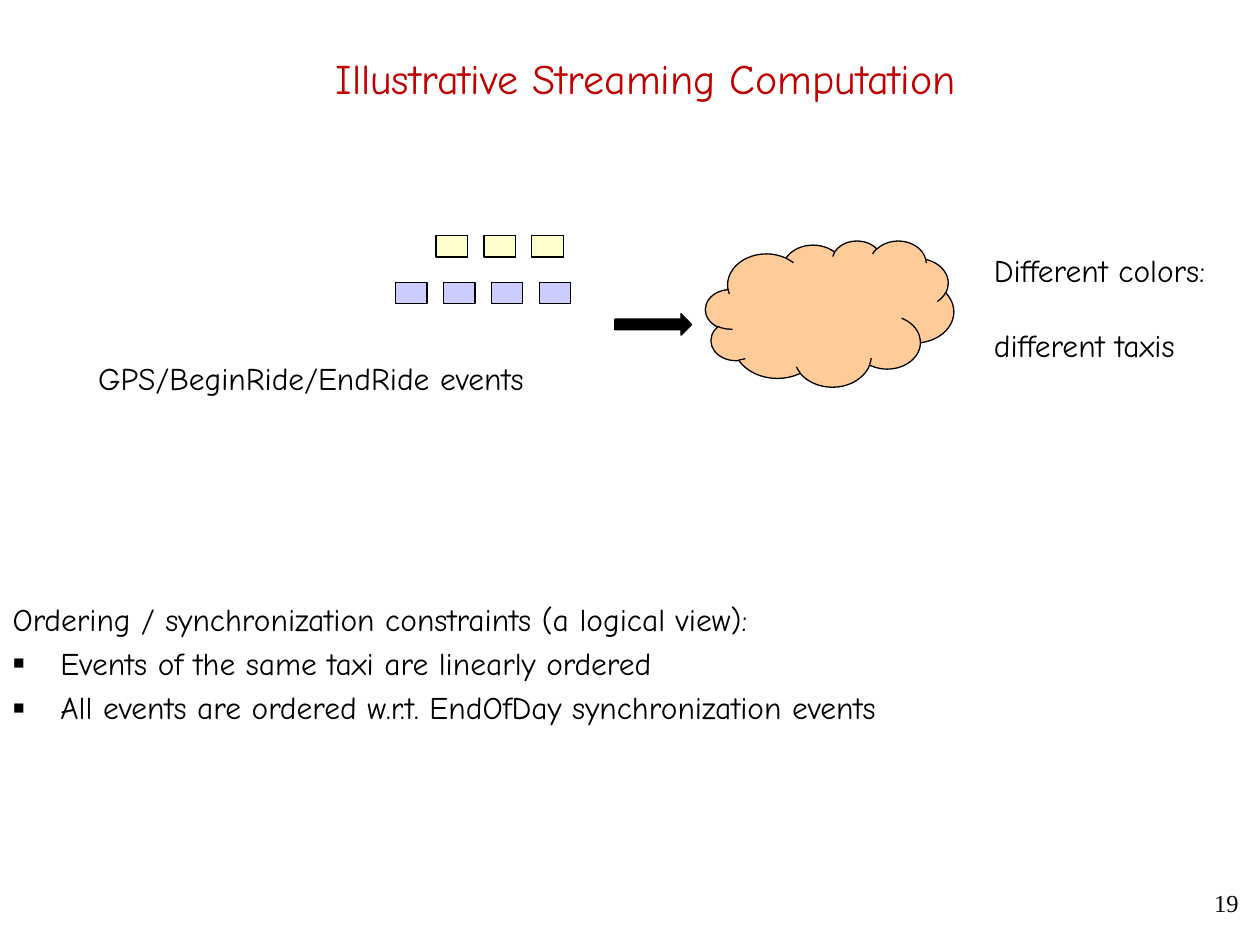
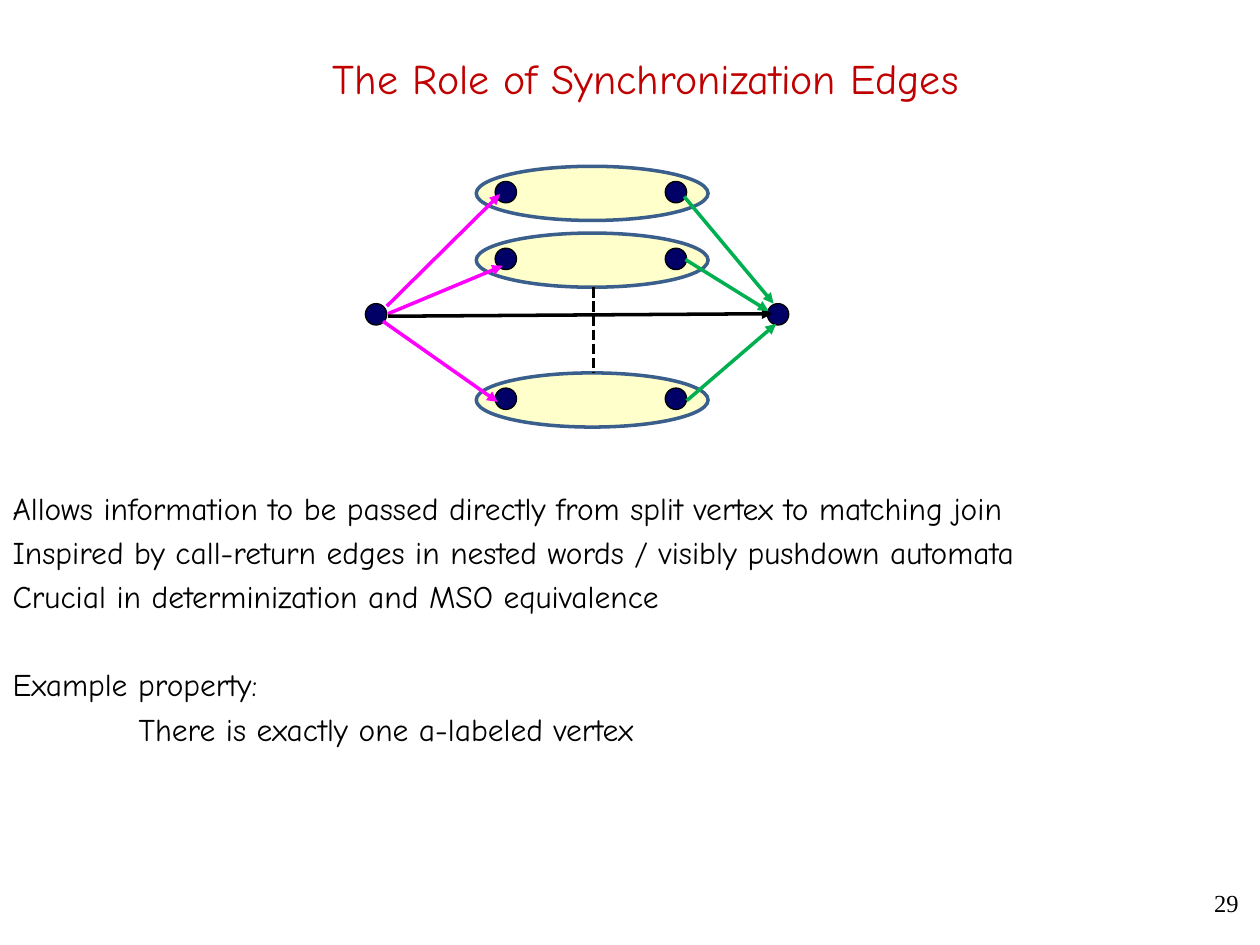
from dataclasses import dataclass

from lxml.etree import SubElement
from pptx import Presentation
from pptx.dml.color import RGBColor
from pptx.enum.dml import MSO_LINE
from pptx.enum.shapes import MSO_CONNECTOR as Link, MSO_SHAPE as Preset
from pptx.enum.text import MSO_ANCHOR as Anchor, MSO_AUTO_SIZE as AutoSize, PP_ALIGN as Align
from pptx.oxml.ns import qn
from pptx.util import Inches, Pt

COLORS = {
    "title": "C00000", "black": "000000", "cloud": "FFCC99",
    "yellow": "FFFFCC", "violet": "CCCCFF", "lane edge": "3A5F8C",
    "vertex": "000066", "split": "FF00FF", "join": "00B050",
}
FONT, NUMBER_FONT = "Comic Neue", "Times New Roman"
LINE_GAP = 3.6    # points between paragraphs of a body
BLANK_LINE = 21.7  # points, height of one line of 18 pt text
VERTEX_SIZE = 0.17


@dataclass
class Line:
    text: str
    before: float = 0  # points
    indent: float = 0  # inches
    bullet: str = ""


@dataclass
class EventRow:
    left: float
    top: float
    count: int
    color: str


@dataclass
class Edge:
    start: tuple[float, float]
    end: tuple[float, float]
    color: str = "black"
    dashed: bool = False


def rgb(name: str) -> RGBColor:
    return RGBColor.from_string(COLORS[name])


def place(shape, left: float, top: float, width: float, height: float) -> None:
    shape.left, shape.top = Inches(left), Inches(top)
    shape.width, shape.height = Inches(width), Inches(height)


def write_text(frame, lines: list[Line], *, size: float = 18, font: str = FONT,
               color: str = "black", align=Align.LEFT, anchor=Anchor.TOP,
               wrap: bool = True) -> None:
    frame.auto_size = AutoSize.NONE
    frame.word_wrap = wrap
    frame.vertical_anchor = anchor
    for index, line in enumerate(lines):
        para = frame.paragraphs[0] if index == 0 else frame.add_paragraph()
        props = para._p.get_or_add_pPr()
        props.set("marL", str(Inches(line.indent)))
        props.set("indent", str(-Inches(line.indent) if line.bullet else 0))
        if line.bullet:
            SubElement(props, qn("a:buFont"), typeface=font)
            SubElement(props, qn("a:buChar"), char=line.bullet)
        else:
            SubElement(props, qn("a:buNone"))
        para.alignment = align
        para.space_before = Pt(line.before)
        span = para.add_run()
        span.text = line.text
        span.font.size, span.font.name = Pt(size), font
        span.font.color.rgb = rgb(color)


def add_text(page, text_lines: list[Line], left: float, top: float, width: float,
             height: float, **text_format) -> None:
    box = page.shapes.add_textbox(Inches(left), Inches(top), Inches(width), Inches(height))
    write_text(box.text_frame, text_lines, **text_format)


def add_figure(shapes, preset, left: float, top: float, width: float, height: float,
               fill: str, *, line: str = "black", weight: float = 0.75) -> None:
    figure = shapes.add_shape(preset, Inches(left), Inches(top), Inches(width), Inches(height))
    figure.shadow.inherit = False
    figure.fill.solid()
    figure.fill.fore_color.rgb = rgb(fill)
    figure.line.color.rgb = rgb(line)
    figure.line.width = Pt(weight)


def add_vertex(shapes, left: float, top: float) -> None:
    add_figure(shapes, Preset.OVAL, left, top, VERTEX_SIZE, VERTEX_SIZE, "vertex")


def add_edge(page, edge: Edge) -> None:
    link = page.shapes.add_connector(Link.STRAIGHT, *map(Inches, edge.start + edge.end))
    link.line.color.rgb = rgb(edge.color)
    link.line.width = Pt(2)
    if edge.dashed:
        link.line.dash_style = MSO_LINE.SQUARE_DOT
    else:
        SubElement(link.line._get_or_add_ln(), qn("a:tailEnd"), type="triangle")
    SubElement(link._element.spPr, qn("a:effectLst"))


def add_page(deck, title: str, number: int, body_lines: list[Line],
             body_top: float, body_height: float):
    """Add a page with the shared title, body and page number."""
    page = deck.slides.add_slide(deck.slide_layouts[1])
    heading, body = page.placeholders
    place(heading, 0.25, 0.33, 9.75, 0.58)
    write_text(heading.text_frame, [Line(title)], size=24, color="title",
               align=Align.CENTER, anchor=Anchor.MIDDLE)
    place(body, 0, body_top, 10, body_height)
    write_text(body.text_frame, body_lines)
    add_text(page, [Line(str(number))], 9.38, 7, 0.55, 0.5,
             size=14, font=NUMBER_FONT, align=Align.RIGHT)
    return page


def build_streaming(deck) -> None:
    constraints = [Line("Ordering / synchronization constraints (a logical view):")]
    constraints += [
        Line(text, LINE_GAP, 0.38, "▪") for text in (
            "Events of the same taxi are linearly ordered",
            "All events are ordered w.r.t. EndOfDay synchronization events",
        )
    ]
    page = add_page(deck, "Illustrative Streaming Computation", 19, constraints, 4.71, 1.72)

    # Event stream flowing into the computation
    add_figure(page.shapes, Preset.CLOUD, 5.6, 1.91, 1.97, 1.16, "cloud")
    add_figure(page.shapes, Preset.RIGHT_ARROW, 4.88, 2.49, 0.61, 0.17, "black")
    for row in (EventRow(3.46, 1.87, 3, "yellow"), EventRow(3.14, 2.24, 4, "violet")):
        for index in range(row.count):
            add_figure(page.shapes, Preset.RECTANGLE, row.left + 0.38 * index, row.top,
                       0.25, 0.17, row.color)

    # Labels
    add_text(page, [Line("GPS/BeginRide/EndRide events")], 0.68, 2.8, 3.89, 0.4, wrap=False)
    add_text(page, [Line("Different colors:"), Line("different taxis", BLANK_LINE)],
             7.79, 1.94, 2.22, 1.01, wrap=False)


def build_edges(deck) -> None:
    remarks = [
        Line("Allows information to be passed directly from split vertex to matching join"),
        Line("Inspired by call-return edges in nested words / visibly pushdown automata", LINE_GAP),
        Line("Crucial in determinization and MSO equivalence", LINE_GAP),
        Line("Example property:", BLANK_LINE + 2 * LINE_GAP),
        Line("There is exactly one a-labeled vertex", LINE_GAP, 1),
    ]
    page = add_page(deck, "The Role of Synchronization Edges", 29, remarks, 3.83, 3.01)

    # Parallel lanes, each with its first and last vertex
    for top in (1.32, 1.85, 2.96):
        lane = page.shapes.add_group_shape().shapes
        add_figure(lane, Preset.OVAL, 3.78, top, 1.84, 0.43, "yellow",
                   line="lane edge", weight=2)
        for left in (3.93, 5.28):
            add_vertex(lane, left, top + 0.12)

    # Split and join vertices
    for left in (2.9, 6.09):
        add_vertex(page.shapes, left, 2.41)

    # Edges: split, synchronization, join, and the omitted lanes
    for edge in (
        Edge((3.07, 2.43), (3.97, 1.54), "split"),
        Edge((3.04, 2.55), (3.95, 3.19), "split"),
        Edge((3.08, 2.49), (3.99, 2.11), "split"),
        Edge((3.08, 2.51), (6.13, 2.49)),
        Edge((5.43, 1.56), (6.14, 2.41), "join"),
        Edge((5.44, 2.06), (6.1, 2.47), "join"),
        Edge((5.45, 3.18), (6.16, 2.57), "join"),
        Edge((4.71, 2.28), (4.71, 2.96), dashed=True),
    ):
        add_edge(page, edge)


def main() -> None:
    deck = Presentation()
    deck.slide_width, deck.slide_height = Inches(10), Inches(7.5)
    build_streaming(deck)
    build_edges(deck)
    deck.save("out.pptx")


if __name__ == "__main__":
    main()
